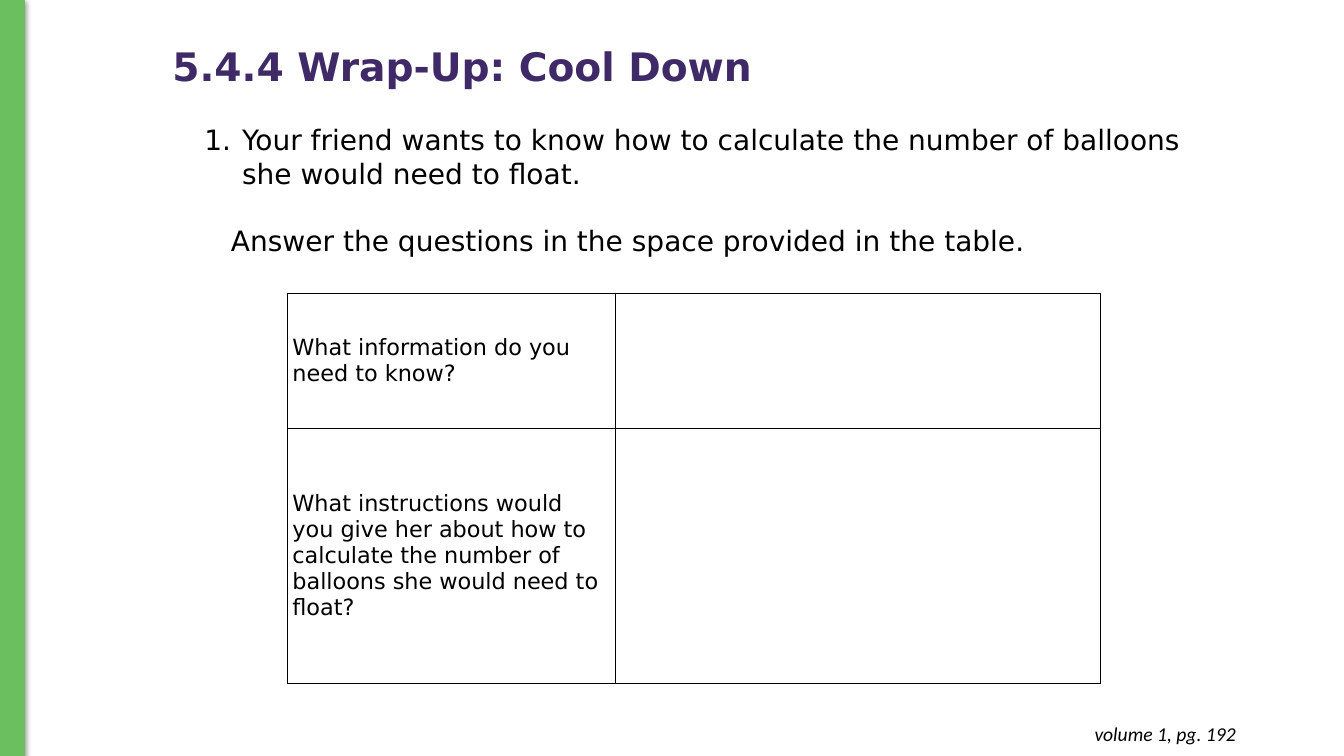
from lxml import etree
from pptx import Presentation
from pptx.dml.color import RGBColor
from pptx.enum.shapes import MSO_SHAPE
from pptx.enum.text import MSO_ANCHOR, MSO_AUTO_SIZE, PP_ALIGN
from pptx.oxml import parse_xml
from pptx.oxml.ns import nsdecls, qn
from pptx.util import Cm, Pt

GREEN = RGBColor(0x6C, 0xBF, 0x5F)
PURPLE = RGBColor(0x3F, 0x2A, 0x67)
BLACK = RGBColor(0, 0, 0)
BODY_FONT = "DejaVu Sans"
FOOTER_FONT = "Calibri"
RECTANGLE = MSO_SHAPE.RECTANGLE
MIDDLE = MSO_ANCHOR.MIDDLE
NO_FIT, GROW = MSO_AUTO_SIZE.NONE, MSO_AUTO_SIZE.SHAPE_TO_FIT_TEXT
LEFT, RIGHT = PP_ALIGN.LEFT, PP_ALIGN.RIGHT

SLIDE_WIDTH, SLIDE_HEIGHT = 33.87, 19.05
COLUMN_WIDTHS = [8.28, 12.22]
ROW_HEIGHTS = [3.4, 6.43]
QUESTIONS = [
    "What information do you need to know?",
    "What instructions would you give her about how to calculate "
    "the number of balloons she would need to float?",
]


def write(paragraph, text, size=20, font=BODY_FONT, color=BLACK,
          bold=False, italic=False, align=LEFT):
    paragraph.alignment = align
    run = paragraph.add_run()
    run.text = text
    run.font.size = Pt(size)
    run.font.name = font
    run.font.color.rgb = color
    run.font.bold = bold
    run.font.italic = italic


def add_side_bar(slide, left, top, width, height):
    bar = slide.shapes.add_shape(RECTANGLE, Cm(left), Cm(top), Cm(width), Cm(height))
    bar.fill.solid()
    bar.fill.fore_color.rgb = GREEN
    bar.line.color.rgb = GREEN
    bar.line.width = Pt(0.75)
    # Soft shadow below the bar
    bar.shadow.inherit = False
    effects = bar._element.spPr.find(qn("a:effectLst"))
    effects.append(parse_xml(
        f'<a:outerShdw {nsdecls("a")} blurRad="{Pt(4.5)}" dist="{Pt(1.5)}" '
        'dir="5400000" rotWithShape="0"><a:srgbClr val="000000">'
        '<a:alpha val="50000"/></a:srgbClr></a:outerShdw>'))


def add_title(slide, left, top, width, height):
    title = slide.shapes.title
    title.left, title.top = Cm(left), Cm(top)
    title.width, title.height = Cm(width), Cm(height)
    frame = title.text_frame
    frame.word_wrap = True
    frame.auto_size = NO_FIT
    frame.vertical_anchor = MIDDLE
    heading = frame.paragraphs[0]
    heading.line_spacing = 0.9
    write(heading, "5.4.4 Wrap-Up: Cool Down", size=28, color=PURPLE, bold=True)


def add_text_frame(slide, left, top, width, height):
    box = slide.shapes.add_textbox(Cm(left), Cm(top), Cm(width), Cm(height))
    frame = box.text_frame
    frame.word_wrap = True
    frame.auto_size = GROW
    return frame


def add_task(slide, left, top, width, height):
    frame = add_text_frame(slide, left, top, width, height)
    # Numbered task
    task = frame.paragraphs[0]
    properties = task._p.get_or_add_pPr()
    properties.set("marL", str(Cm(0.95)))
    properties.set("indent", str(-Cm(0.95)))
    number = etree.SubElement(properties, qn("a:buAutoNum"))
    number.set("type", "arabicPeriod")
    write(task, "Your friend wants to know how to calculate the number of "
                "balloons she would need to float.")
    # Instruction
    instruction = frame.add_paragraph()
    instruction.space_before = Pt(24)
    instruction._p.get_or_add_pPr().set("marL", str(Cm(0.67)))
    write(instruction, "Answer the questions in the space provided in the table.")


def format_cell(cell):
    cell.fill.background()
    cell.vertical_anchor = MIDDLE
    cell.margin_left = cell.margin_right = Cm(0.13)
    cell.margin_top = cell.margin_bottom = 0
    properties = cell._tc.get_or_add_tcPr()
    for position, side in enumerate(("lnL", "lnR", "lnT", "lnB")):
        properties.insert(position, parse_xml(
            f'<a:{side} {nsdecls("a")} w="{Pt(1)}"><a:solidFill>'
            f'<a:srgbClr val="{BLACK}"/></a:solidFill></a:{side}>'))


def add_answer_table(slide, left, top):
    table = slide.shapes.add_table(
        len(ROW_HEIGHTS), len(COLUMN_WIDTHS), Cm(left), Cm(top),
        Cm(sum(COLUMN_WIDTHS)), Cm(sum(ROW_HEIGHTS))).table
    table.first_row = table.horz_banding = False
    for column, width in zip(table.columns, COLUMN_WIDTHS):
        column.width = Cm(width)
    for row, height, question in zip(table.rows, ROW_HEIGHTS, QUESTIONS):
        row.height = Cm(height)
        for cell in row.cells:
            format_cell(cell)
        write(row.cells[0].text_frame.paragraphs[0], question, size=16)


def add_page_reference(slide, left, top, width, height):
    frame = add_text_frame(slide, left, top, width, height)
    frame.margin_top = frame.margin_bottom = Cm(0.25)
    write(frame.paragraphs[0], "volume 1, pg. 192", size=14,
          font=FOOTER_FONT, italic=True, align=RIGHT)


def main():
    deck = Presentation()
    deck.slide_width, deck.slide_height = Cm(SLIDE_WIDTH), Cm(SLIDE_HEIGHT)
    title_only = deck.slide_layouts[5]
    slide = deck.slides.add_slide(title_only)
    add_side_bar(slide, 0, 0, 0.61, SLIDE_HEIGHT)
    add_title(slide, 4.09, -0.1, 22.28, 3.68)
    add_task(slide, 4.9, 2.97, 25.53, 3.68)
    add_answer_table(slide, 7.24, 7.39)
    add_page_reference(slide, 24.08, 17.93, 7.32, 1.12)
    deck.save("out.pptx")


if __name__ == "__main__":
    main()
